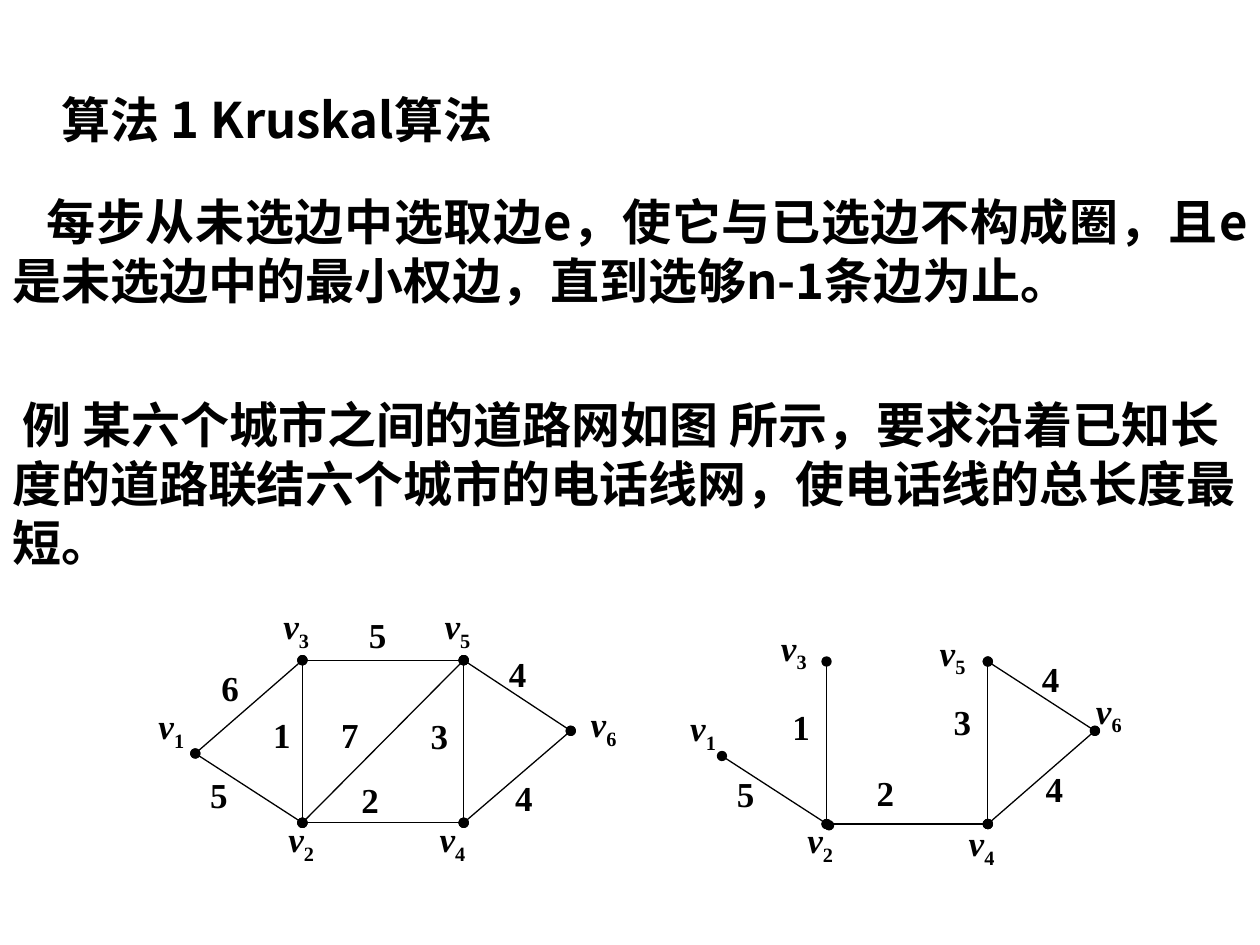
import pptx
import pptx.util
import pptx.dml.color
import pptx.enum.shapes
import pptx.enum.text
from lxml import etree

Inches, Pt = pptx.util.Inches, pptx.util.Pt
ALIGN = pptx.enum.text.PP_ALIGN


def color(code):
    return pptx.dml.color.RGBColor.from_string(code)


class Pen:
    ink = "000000"
    sans = "Noto Sans CJK SC"
    serif = "Times New Roman"

    def __init__(self, slide):
        self.slide = slide

    def box(self, x, y, w, h, align, top=0.05):
        """Add an empty text box; return its first paragraph."""
        frame = self.slide.shapes.add_textbox(
            Inches(x), Inches(y), Inches(w), Inches(h)).text_frame
        frame.word_wrap = True
        frame.margin_top = Inches(top)
        para = frame.paragraphs[0]
        para.alignment = align
        return para

    def run(self, para, text, font, size, italic=False, base=0):
        run = para.add_run()
        run.text = text
        run.font.name = font
        run.font.size = Pt(size)
        run.font.bold = True
        run.font.italic = italic
        run.font.color.rgb = color(self.ink)
        props = run._r.get_or_add_rPr()
        if base:
            props.set("baseline", str(base * 1000))
        east = etree.SubElement(props, pptx.oxml.ns.qn("a:ea"))
        east.set("typeface", font)

    def body(self, text, x, y, w, h, indent=0, align=ALIGN.LEFT):
        para = self.box(x, y, w, h, align, top=0.08)
        para.line_spacing = Pt(33.7)
        if indent:
            para._p.get_or_add_pPr().set("indent", str(Inches(indent)))
        self.run(para, text, self.sans, 28)

    def edge(self, start, end):
        ends = [Inches(v) for v in (*start, *end)]
        line = self.slide.shapes.add_connector(
            pptx.enum.shapes.MSO_CONNECTOR.STRAIGHT, *ends)
        line.line.color.rgb = color(self.ink)
        line.line.width = Pt(0.75)
        qn = pptx.oxml.ns.qn
        for tag in ("a:headEnd", "a:tailEnd"):
            etree.SubElement(line.line._get_or_add_ln(), qn(tag)).set("type", "oval")
        etree.SubElement(line._element.spPr, qn("a:effectLst"))

    def node(self, num, x, y):
        para = self.box(x, y, 0.64, 0.55, ALIGN.JUSTIFY)
        self.run(para, "v", self.serif, 20, italic=True)
        self.run(para, num, self.serif, 20, base=-25)

    def weight(self, num, x, y):
        para = self.box(x, y, 0.64, 0.55, ALIGN.JUSTIFY)
        self.run(para, num, self.serif, 20)

    def graph(self, dots, edges, names, costs):
        for a, b in edges:
            self.edge(dots[a], dots[b])
        for num, (x, y) in enumerate(names, 1):
            self.node(str(num), x, y)
        for num, x, y in costs:
            self.weight(str(num), x, y)


def main():
    deck = pptx.Presentation()
    deck.slide_width, deck.slide_height = Inches(10), Inches(7.5)
    pen = Pen(deck.slides.add_slide(deck.slide_layouts[6]))

    # Title, rule and example
    pen.body("算法 1 Kruskal算法", 0.39, 0.63, 4.19, 1.04)
    pen.body("每步从未选边中选取边e，使它与已选边不构成圈，且e是未选边中的"
             "最小权边，直到选够n-1条边为止。",
             0, 1.44, 10, 1.04, indent=0.27, align=ALIGN.JUSTIFY)
    pen.body("例 某六个城市之间的道路网如图 所示，要求沿着已知长度的道路联结"
             "六个城市的电话线网，使电话线的总长度最短。",
             0, 3.05, 10, 1.5, indent=0.08)

    # Road network
    pen.graph(
        {1: (1.55, 5.98), 2: (2.4, 6.53), 3: (2.4, 5.24),
         4: (3.68, 6.53), 5: (3.68, 5.24), 6: (4.53, 5.8)},
        [(2, 4), (3, 5), (3, 2), (4, 5), (5, 6), (6, 4), (2, 1), (1, 3), (2, 5)],
        [(1.16, 5.54), (2.19, 6.44), (2.15, 4.75),
         (3.39, 6.44), (3.43, 4.75), (4.59, 5.53)],
        [(6, 1.66, 5.24), (5, 1.57, 6.09), (1, 2.07, 5.61),
         (5, 2.83, 4.82), (7, 2.61, 5.61), (2, 2.77, 6.13),
         (3, 3.32, 5.62), (4, 3.94, 5.13), (4, 3.99, 6.11)])

    # Chosen edges; the edge to v1 starts just beside v2
    pen.graph(
        {1: (5.73, 6), "2b": (6.58, 6.55), 2: (6.56, 6.54), 3: (6.56, 5.25),
         4: (7.84, 6.54), 5: (7.84, 5.25), 6: (8.69, 5.8)},
        [("2b", 1), (2, 4), (3, 2), (4, 5), (6, 4), (5, 6)],
        [(5.38, 5.56), (6.31, 6.45), (6.1, 4.92),
         (7.59, 6.47), (7.36, 4.96), (8.6, 5.42)],
        [(5, 5.75, 6.08), (1, 6.19, 5.55), (2, 6.86, 6.07),
         (3, 7.47, 5.51), (4, 8.2, 6.04), (4, 8.17, 5.17)])

    deck.save("out.pptx")


if __name__ == "__main__":
    main()
